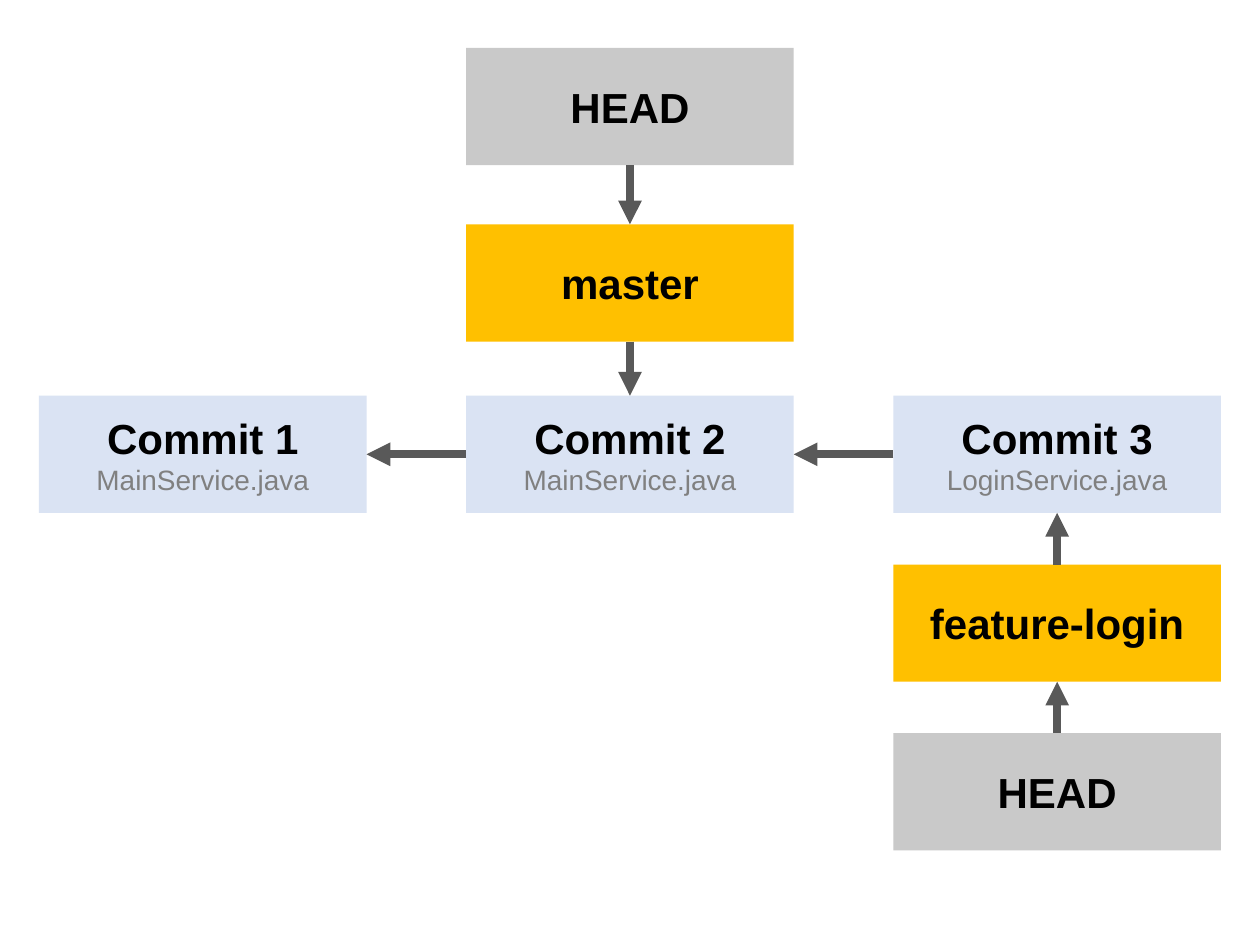
import pptx
import pptx.dml.color
import pptx.enum.dml
import pptx.enum.shapes
import pptx.enum.text
import pptx.oxml
import pptx.oxml.ns
import pptx.util
from lxml import etree

Pt = pptx.util.Pt
COLORS = {
    "commit": "DAE3F3",
    "branch": "FFC000",
    "head": "C9C9C9",
    "title": "000000",
    "file": "808080",
    "arrow": "595959",
}
BOX_WIDTH, BOX_HEIGHT = 187.2, 67
COLUMNS = [22.3 + 244.1 * column for column in range(3)]
HEAD_ROW, MASTER_ROW, COMMIT_ROW, FEATURE_ROW, FEATURE_HEAD_ROW = 27.4, 128.2, 226.1, 322.6, 419
TOP, LEFT, BOTTOM, RIGHT = range(4)


def rgb(name):
    return pptx.dml.color.RGBColor.from_string(COLORS[name])


def add_node(slide, box, kind, title, file_name=None):
    node = slide.shapes.add_shape(
        pptx.enum.shapes.MSO_SHAPE.RECTANGLE, *(Pt(length) for length in box))
    node.shadow.inherit = False
    node.fill.solid()
    node.fill.fore_color.rgb = rgb(kind)
    node.line.fill.background()
    frame = node.text_frame
    frame.word_wrap = True
    frame.vertical_anchor = pptx.enum.text.MSO_ANCHOR.MIDDLE
    frame.text = f"{title}\n{file_name}" if file_name else title
    styles = [(24, True, "title"), (16, False, "file")]
    for paragraph, (size, bold, color) in zip(frame.paragraphs, styles):
        paragraph.alignment = pptx.enum.text.PP_ALIGN.CENTER
        for run in paragraph.runs:
            run.font.name = "Arial"
            run.font.size = Pt(size)
            run.font.bold = bold
            run.font.color.rgb = rgb(color)
    return node


def add_arrow(slide, source, source_side, target, target_side):
    arrow = slide.shapes.add_connector(
        pptx.enum.shapes.MSO_CONNECTOR.STRAIGHT, 0, 0, 0, 0)
    arrow.begin_connect(source, source_side)
    arrow.end_connect(target, target_side)
    arrow.line.color.rgb = rgb("arrow")
    arrow.line.width = Pt(4.5)
    qn = pptx.oxml.ns.qn
    properties = arrow._element.spPr
    etree.SubElement(properties.find(qn("a:ln")), qn("a:tailEnd"), type="triangle")
    etree.SubElement(properties, qn("a:effectLst"))


def add_commit_graph(slide, columns, box_width, box_height):
    def place(column, row, *content):
        return add_node(slide, (columns[column], row, box_width, box_height), *content)

    first, second, third = (
        place(column, COMMIT_ROW, "commit", f"Commit {column + 1}", file_name)
        for column, file_name in enumerate(
            ["MainService.java", "MainService.java", "LoginService.java"]))
    master = place(1, MASTER_ROW, "branch", "master")
    feature = place(2, FEATURE_ROW, "branch", "feature-login")
    master_head = place(1, HEAD_ROW, "head", "HEAD")
    feature_head = place(2, FEATURE_HEAD_ROW, "head", "HEAD")

    for source, target in [(second, first), (third, second)]:
        add_arrow(slide, source, LEFT, target, RIGHT)
    for source, target in [(master_head, master), (master, second)]:
        add_arrow(slide, source, BOTTOM, target, TOP)
    for source, target in [(feature_head, feature), (feature, third)]:
        add_arrow(slide, source, TOP, target, BOTTOM)


def main():
    presentation = pptx.Presentation()
    presentation.slide_width = Pt(720)
    presentation.slide_height = Pt(540)
    slide = presentation.slides.add_slide(presentation.slide_layouts[6])
    add_commit_graph(slide, COLUMNS, BOX_WIDTH, BOX_HEIGHT)
    presentation.save("out.pptx")


if __name__ == "__main__":
    main()
